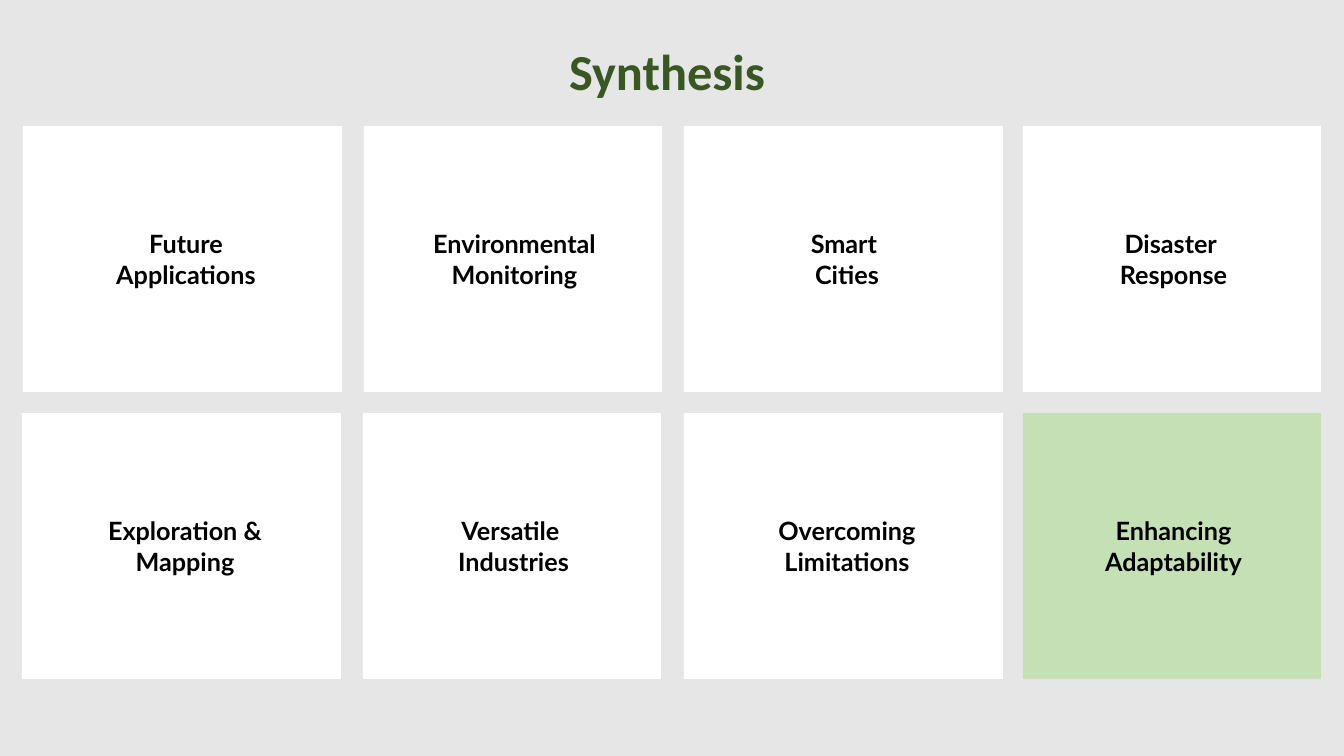
from pptx import Presentation
from pptx import util as u
from pptx.dml.color import RGBColor
from pptx.enum import shapes, text

GREEN = RGBColor(0x38, 0x57, 0x23)
LIGHT = RGBColor(0xC5, 0xE0, 0xB4)
WHITE = RGBColor(0xFF, 0xFF, 0xFF)
BLACK = RGBColor(0, 0, 0)
GREY = RGBColor(0xE7, 0xE6, 0xE6)

TITLE = "Synthesis"
ROWS = [
    (126, (23, 364, 684, 1023),
     ("Future Applications", "Environmental Monitoring", "Smart \nCities", "Disaster \nResponse")),
    (413, (22, 363, 684, 1023),
     ("Exploration & Mapping", "Versatile \nIndustries", "Overcoming Limitations",
      "Enhancing Adaptability")),
]
ACCENT = "Enhancing Adaptability"
HEIGHT = 266
WIDTHS = (319, 298)
INSETS = ((69, 62), (34, 31))


def px(n):
    return u.Emu(round(n * 914400 / 100.8))


def style(frame, font, size, color, align):
    for par in frame.paragraphs:
        par.alignment = align
        par.font.name = font
        par.font.size = u.Pt(size)
        par.font.bold = True
        par.font.color.rgb = color


def add_card(slide, label, left, top, kind):
    card = slide.shapes.add_shape(shapes.MSO_SHAPE.RECTANGLE, px(left), px(top),
                                  px(WIDTHS[kind]), px(HEIGHT))
    card.shadow.inherit = False
    card.fill.solid()
    card.fill.fore_color.rgb = LIGHT if label == ACCENT else WHITE
    card.line.fill.background()
    frame = card.text_frame
    frame.text = label
    frame.word_wrap = True
    frame.vertical_anchor = text.MSO_ANCHOR.MIDDLE
    frame.margin_left, frame.margin_right = map(px, INSETS[kind])
    style(frame, "Lato", 18, BLACK, text.PP_ALIGN.CENTER)


def main():
    deck = Presentation()
    deck.slide_width, deck.slide_height = px(1344), px(756)
    slide = deck.slides.add_slide(deck.slide_layouts[5])
    slide.background.fill.solid()
    slide.background.fill.fore_color.rgb = GREY

    title = slide.shapes.title
    title.left, title.top, title.width, title.height = map(px, (559, 34, 221, 72))
    frame = title.text_frame
    frame.text = TITLE
    frame.word_wrap = False
    frame.auto_size = text.MSO_AUTO_SIZE.NONE
    frame.vertical_anchor = text.MSO_ANCHOR.MIDDLE
    style(frame, "Calibri", 36, GREEN, text.PP_ALIGN.LEFT)

    for top, lefts, labels in ROWS:
        for col, (left, label) in enumerate(zip(lefts, labels)):
            add_card(slide, label, left, top, col % 2)

    deck.save("out.pptx")


if __name__ == "__main__":
    main()
